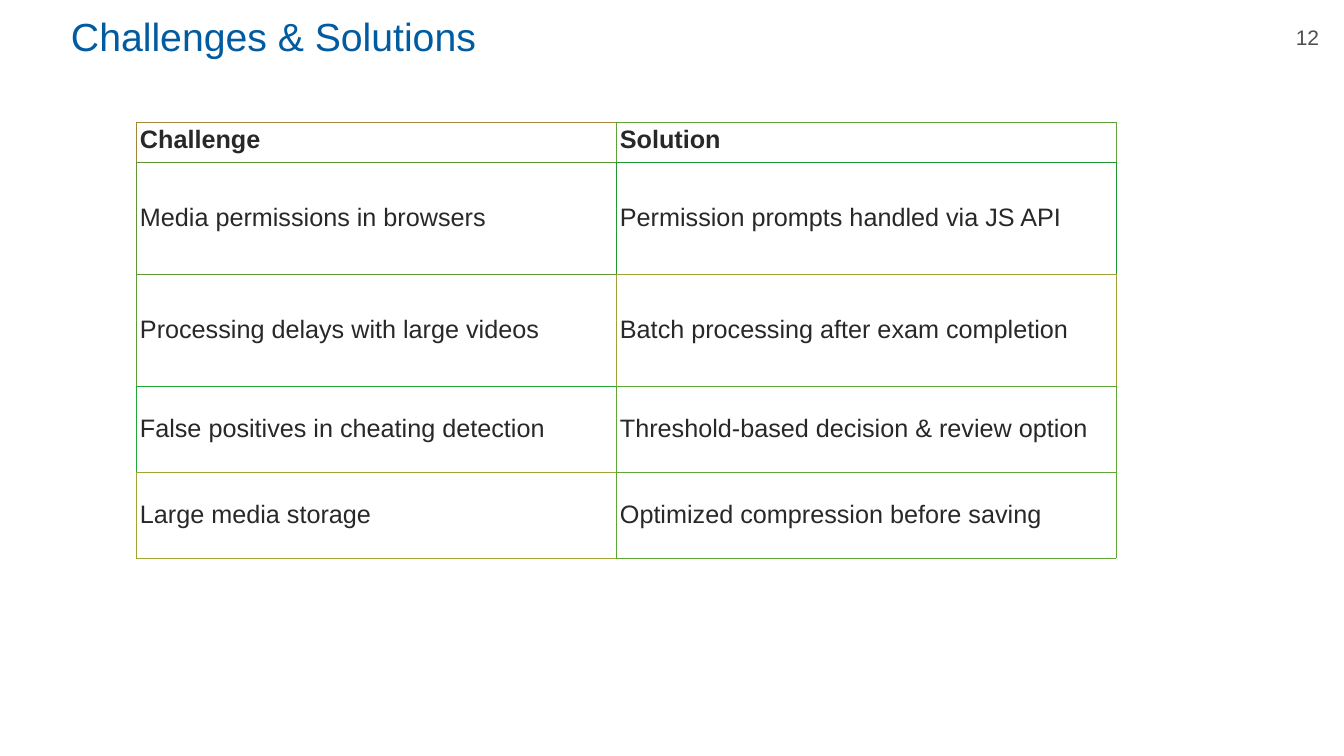
from dataclasses import dataclass

from lxml.etree import SubElement
from pptx import Presentation
from pptx.dml.color import RGBColor
from pptx.enum.text import MSO_ANCHOR, MSO_AUTO_SIZE, PP_ALIGN
from pptx.oxml.ns import qn
from pptx.util import Emu, Pt

# Content: each row holds its texts, then the edge colour of each cell
TITLE = "Challenges & Solutions"
PAGE = "12"
ROWS = [
    (("Challenge", "Solution"), ("A08635", "60A035")),
    (("Media permissions in browsers",
      "Permission prompts handled via JS API"), ("609435", "209935")),
    (("Processing delays with large videos",
      "Batch processing after exam completion"), ("609B35", "A0A235")),
    (("False positives in cheating detection",
      "Threshold-based decision & review option"), ("20A635", "60A635")),
    (("Large media storage",
      "Optimized compression before saving"), ("A0A635", "60A635")),
]

# Layout in px
SLIDE = (1344, 756)
TITLE_BOX = (61, 1, 1098, 69)
PAGE_BOX = (1224, 20, 167, 35)
GRID_AT = (136, 122)
WIDTHS = (480, 500)
HEIGHTS = (40, 112, 112, 86, 86)
CELL_PAD = (4, 4)
TEXT_PAD = (10, 5)


@dataclass(frozen=True)
class Theme:
    font: str = "Arial"
    title: str = "005BA1"
    page: str = "4F4F4F"
    body: str = "282828"
    title_size: int = 28
    page_size: int = 15
    body_size: int = 18
    edge: float = 0.5


THEME = Theme()


def px(n):
    return Emu(round(n * 914400 / 100.8))


def write(frame, text, *, size, color, bold=False, align=PP_ALIGN.LEFT):
    para = frame.paragraphs[0]
    para.alignment = align
    run = para.add_run()
    run.text = text
    font = run.font
    font.name, font.size, font.bold = THEME.font, Pt(size), bold
    font.color.rgb = RGBColor.from_string(color)


def pad(item, across, down):
    item.margin_left = item.margin_right = px(across)
    item.margin_top = item.margin_bottom = px(down)


def draw_edges(cell, sides):
    props = cell._tc.get_or_add_tcPr()
    for spot, (side, color) in enumerate(sides.items()):
        line = SubElement(props, qn(f"a:ln{side}"), w=str(Pt(THEME.edge)))
        fill = SubElement(line, qn("a:solidFill"))
        SubElement(fill, qn("a:srgbClr"), val=color)
        props.insert(spot, line)


def add_title(slide):
    title = slide.shapes.title
    title.left, title.top, title.width, title.height = map(px, TITLE_BOX)
    frame = title.text_frame
    frame.auto_size = MSO_AUTO_SIZE.NONE
    frame.vertical_anchor = MSO_ANCHOR.MIDDLE
    pad(frame, *TEXT_PAD)
    write(frame, TITLE, size=THEME.title_size, color=THEME.title)


def add_page(slide):
    frame = slide.shapes.add_textbox(*map(px, PAGE_BOX)).text_frame
    frame.word_wrap = True
    pad(frame, *TEXT_PAD)
    write(frame, PAGE, size=THEME.page_size, color=THEME.page,
          align=PP_ALIGN.CENTER)


def add_grid(slide):
    box = (*GRID_AT, sum(WIDTHS), sum(HEIGHTS))
    table = slide.shapes.add_table(
        len(ROWS), len(WIDTHS), *map(px, box)).table
    table.first_row = table.horz_banding = False
    for col, width in zip(table.columns, WIDTHS):
        col.width = px(width)
    for row, height in zip(table.rows, HEIGHTS):
        row.height = px(height)

    # A cell owns its left and top edges; the next cell owns the others
    for r, (texts, colors) in enumerate(ROWS):
        below = ROWS[min(r + 1, len(ROWS) - 1)][1]
        for c, text in enumerate(texts):
            cell = table.cell(r, c)
            head = r == 0
            cell.vertical_anchor = MSO_ANCHOR.TOP if head else MSO_ANCHOR.MIDDLE
            cell.fill.background()
            pad(cell, *CELL_PAD)
            write(cell.text_frame, text, size=THEME.body_size,
                  color=THEME.body, bold=head)
            right = colors[min(c + 1, len(colors) - 1)]
            draw_edges(cell, {"L": colors[c], "R": right,
                              "T": colors[c], "B": below[c]})


def main():
    deck = Presentation()
    deck.slide_width, deck.slide_height = map(px, SLIDE)
    slide = deck.slides.add_slide(deck.slide_layouts[5])
    add_page(slide)
    add_title(slide)
    add_grid(slide)
    deck.save("out.pptx")


if __name__ == "__main__":
    main()
